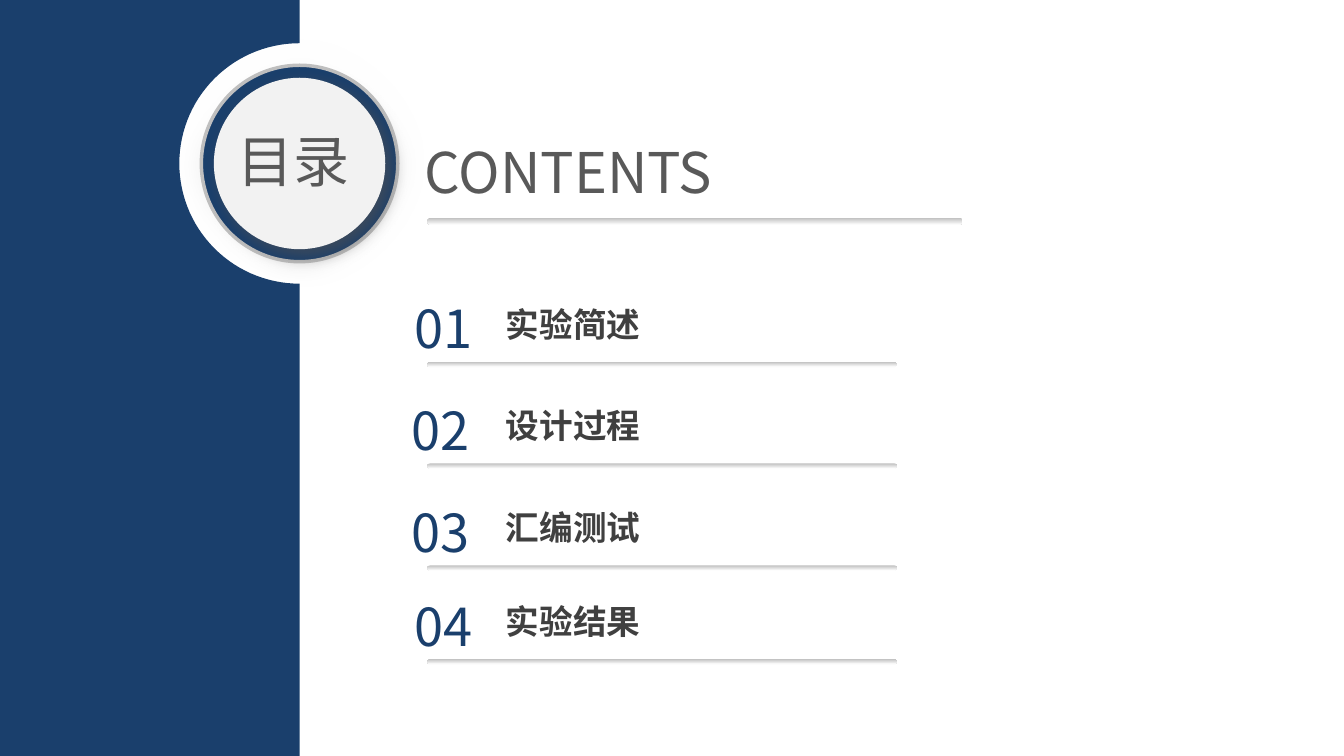
"""Build a contents slide with a side panel, a round badge and four numbered rows."""
from math import cos, pi, sin

from lxml import etree
from pptx import Presentation
from pptx.dml.color import RGBColor
from pptx.enum.shapes import MSO_SHAPE
from pptx.enum.text import PP_ALIGN
from pptx.oxml.ns import qn
from pptx.util import Cm, Pt

OVAL, BAR = MSO_SHAPE.OVAL, MSO_SHAPE.ROUNDED_RECTANGLE
LEFT, CENTER = PP_ALIGN.LEFT, PP_ALIGN.CENTER
FONT = "Noto Sans CJK SC"
NAVY = RGBColor(0x1A, 0x3F, 0x6C)
WHITE = RGBColor(0xFF, 0xFF, 0xFF)
PALE = RGBColor(0xF2, 0xF2, 0xF2)
SILVER = RGBColor(0xBF, 0xBF, 0xBF)
GRAY = RGBColor(0x59, 0x59, 0x59)
DARK = RGBColor(0x40, 0x40, 0x40)

TITLE, SUBTITLE = "目录", "CONTENTS"
ROWS = [
    ("01", "实验简述", 10.03, 2.29, 8.28, 9.12),
    ("02", "设计过程", 9.91, 2.39, 7.72, 11.68),
    ("03", "汇编测试", 9.91, 2.39, 7.72, 14.25),
    ("04", "实验结果", 10.03, 2.29, 7.72, 16.61),
]
SLIDE_W, SLIDE_H = 33.87, 19.05
PANEL_LEFT, PANEL_RIGHT = -0.33, 7.55
BADGE_Y, NOTCH_R = 4.12, 3.03
HALO_D, RING_D, DISC_D = 6.63, 4.95, 4.32
BAR_X, LABEL_X = 10.77, 12.5
STEPS = 60


def add_shape(s, kind, x, y, w, h, color=None, ramp=None):
    sp = s.shapes.add_shape(kind, Cm(x), Cm(y), Cm(w), Cm(h))
    sp.shadow.inherit = False
    sp.line.fill.background()
    if ramp:
        sp.fill.gradient()
        sp.fill.gradient_angle = 270
        for stop, rgb, position in zip(sp.fill.gradient_stops, ramp, (0, 1)):
            stop.color.rgb = rgb
            stop.position = position
    else:
        sp.fill.solid()
        sp.fill.fore_color.rgb = color
    return sp


def add_circle(s, d, **fill):
    return add_shape(s, OVAL, PANEL_RIGHT - d / 2, BADGE_Y - d / 2, d, d, **fill)


def add_bar(s, y, w, h):
    add_shape(s, BAR, BAR_X, y, w, h, ramp=(SILVER, WHITE)).adjustments[0] = 0.5


def add_effect(sp, tag, **attrs):
    effects = sp._element.spPr.find(qn("a:effectLst"))
    return etree.SubElement(effects, qn(tag), {k: str(v) for k, v in attrs.items()})


def add_text(s, text, x, y, w, h, size, color, align=LEFT, bold=False):
    tf = s.shapes.add_textbox(Cm(x), Cm(y), Cm(w), Cm(h)).text_frame
    tf.word_wrap = True
    p = tf.paragraphs[0]
    p.alignment = align
    r = p.add_run()
    r.text = text
    r.font.size, r.font.bold, r.font.name = Pt(size), bold, FONT
    r.font.color.rgb = color
    etree.SubElement(r._r.get_or_add_rPr(), qn("a:ea"), typeface=FONT)


def add_panel(s):
    notch = [(PANEL_RIGHT - NOTCH_R * sin(pi * i / STEPS),
              BADGE_Y - NOTCH_R * cos(pi * i / STEPS)) for i in range(STEPS + 1)]
    outline = [(PANEL_RIGHT, 0), *notch, (PANEL_RIGHT, SLIDE_H), (PANEL_LEFT, SLIDE_H)]
    pen = s.shapes.build_freeform(Cm(PANEL_LEFT), Cm(0))
    pen.add_line_segments([(Cm(x), Cm(y)) for x, y in outline])
    sp = pen.convert_to_shape()
    sp.shadow.inherit = False
    sp.fill.solid()
    sp.fill.fore_color.rgb = NAVY
    sp.line.fill.background()


def add_badge(s):
    halo = add_circle(s, HALO_D, ramp=(WHITE, SILVER))
    add_effect(halo, "a:softEdge", rad=Pt(25))
    ring = add_circle(s, RING_D, color=NAVY)
    ring.line.color.rgb = SILVER
    ring.line.width = Pt(2.5)
    disc = add_circle(s, DISC_D, color=PALE)
    shadow = add_effect(disc, "a:outerShdw", blurRad=Pt(12), dist=Pt(6),
                        dir=45 * 60000, algn="tl", rotWithShape=0)
    tint = etree.SubElement(shadow, qn("a:srgbClr"), val="525252")
    etree.SubElement(tint, qn("a:alpha"), val="64000")


def main():
    prs = Presentation()
    prs.slide_width, prs.slide_height = Cm(SLIDE_W), Cm(SLIDE_H)
    s = prs.slides.add_slide(prs.slide_layouts[6])
    add_panel(s)
    add_badge(s)
    add_text(s, SUBTITLE, 10.46, 3.35, 11.79, 1.96, 40, GRAY)
    add_text(s, TITLE, 5.05, 3.07, 4.7, 1.96, 40, GRAY, CENTER)
    add_bar(s, 5.49, 13.49, 0.18)
    for number, label, x, w, label_w, y in ROWS:
        add_text(s, number, x, y - 1.77, w, 1.85, 37.4, NAVY, CENTER)
        add_text(s, label, LABEL_X, y - 1.59, label_w, 1.27, 24, DARK, bold=True)
        add_bar(s, y, 11.84, 0.13)
    prs.save("out.pptx")


if __name__ == "__main__":
    main()
